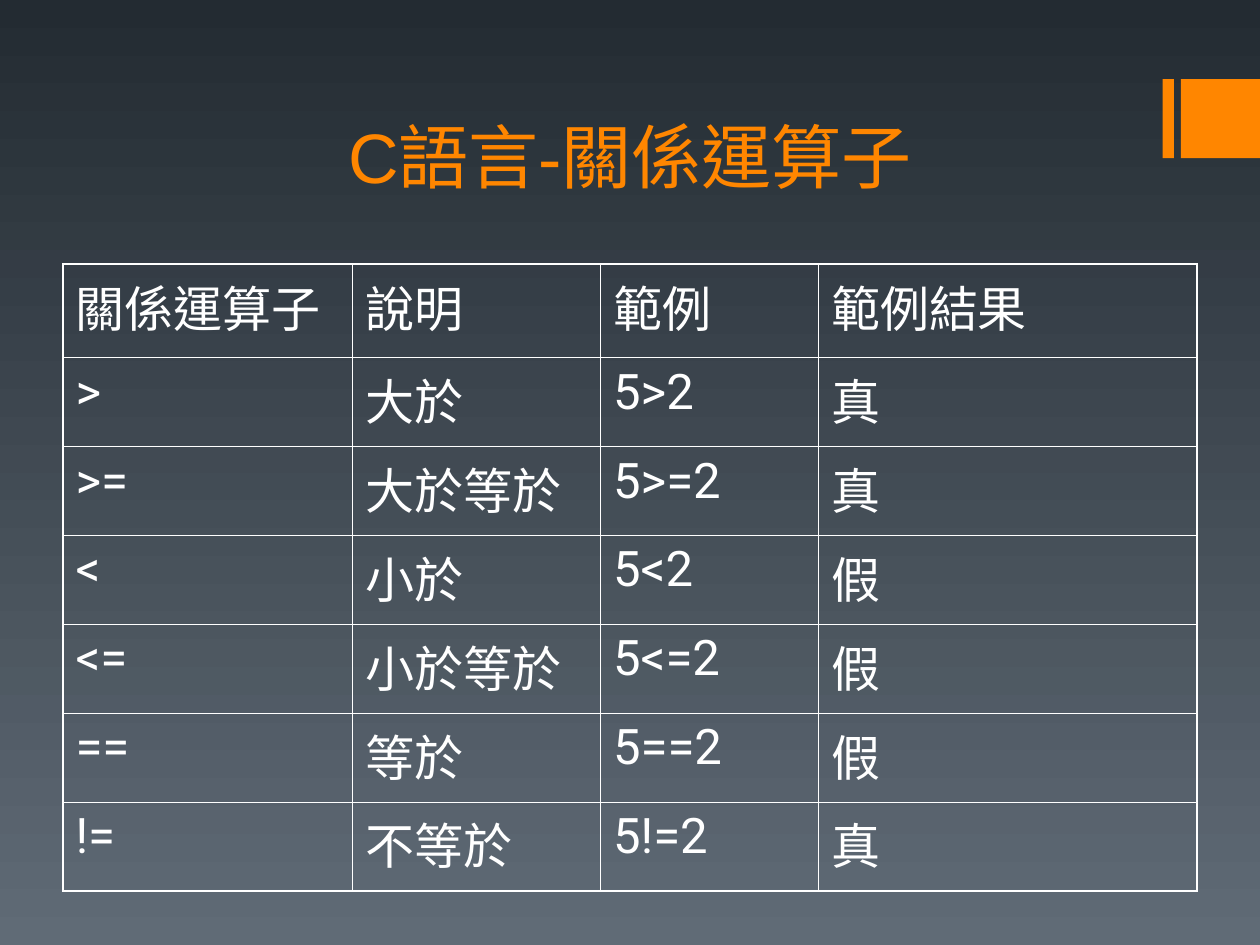
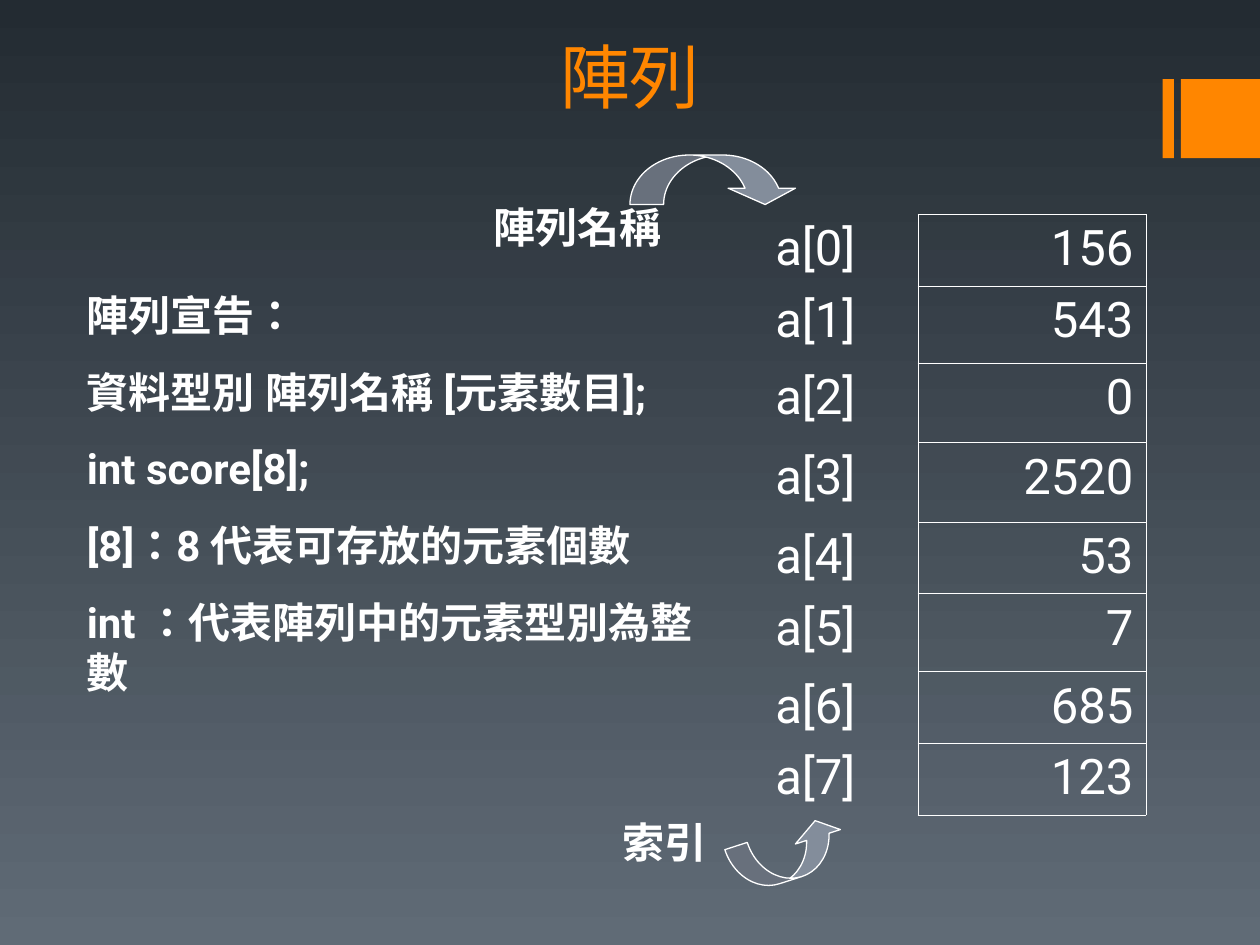
from dataclasses import dataclass
from typing import Any

from lxml import etree
from pptx import Presentation
from pptx import util as u
from pptx.dml import color
from pptx.enum import lang, shapes, text
from pptx.oxml import ns

Pt = u.Pt
HEX = {
    "top": "232B32",
    "base": "606B76",
    "accent": "FF8600",
    "ink": "FFFFFF",
    "arrow": "838D9B",
}
TITLE = {"size": Pt(40), "bold": False, "name": "Arial"}
CELL = {"size": Pt(28), "name": "Roboto"}
LABEL = {"size": Pt(24), "name": "Roboto", "bold": True}
THIN, THICK = 0.45, 1.08


@dataclass
class Box:
    left: float
    top: float
    width: float
    height: float

    def emu(self) -> list[int]:
        return [Pt(v) for v in (self.left, self.top, self.width, self.height)]


@dataclass
class Grid:
    left: float
    top: float
    cols: list[float]
    rows: list[float]
    cells: list[list[str]]
    align: Any
    inner: float = 0  # line widths, 0 for no line
    outer: float = 0


@dataclass
class Note:
    box: Box
    lines: list[str]


@dataclass
class Arrow:
    kind: Any
    box: Box
    adjust: list[float]
    turn: float = 0


# Shared helpers
def rgb(key: str) -> color.RGBColor:
    return color.RGBColor.from_string(HEX[key])


def style(para: Any, form: dict, hue: str, east: bool = True) -> None:
    for run in para.runs:
        for key, val in form.items():
            setattr(run.font, key, val)
        run.font.color.rgb = rgb(hue)
        run.font.language_id = lang.MSO_LANGUAGE_ID.TRADITIONAL_CHINESE
        if east:
            face = etree.SubElement(run.font._element, ns.qn("a:ea"))
            face.set("typeface", form["name"])


def paint(slide: Any) -> None:
    """Draw the two accent bands at the right edge."""
    for left, width in ((664.3, 6.5), (674.8, 45.2)):
        band = slide.shapes.add_shape(
            shapes.MSO_SHAPE.RECTANGLE, *Box(left, 45.2, width, 45.2).emu())
        band.shadow.inherit = False
        band.fill.solid()
        band.fill.fore_color.rgb = rgb("accent")
        band.line.fill.background()


def start(deck: Any, name: str, height: float) -> Any:
    """Add a slide with its title and bands."""
    slide = deck.slides.add_slide(deck.slide_layouts[5])
    paint(slide)
    title = slide.shapes.title
    place = Box(36, 23, 648, height).emu()
    for key, val in zip(("left", "top", "width", "height"), place):
        setattr(title, key, val)
    frame = title.text_frame
    frame.text = name
    frame.auto_size = text.MSO_AUTO_SIZE.NONE
    frame.vertical_anchor = text.MSO_ANCHOR.BOTTOM
    frame.paragraphs[0].alignment = text.PP_ALIGN.CENTER
    style(frame.paragraphs[0], TITLE, "accent")
    return slide


def edge(cell: Any, side: str, width: float) -> None:
    line = etree.SubElement(cell._tc.get_or_add_tcPr(), ns.qn(f"a:ln{side}"))
    line.set("w", str(int(Pt(width))))
    if not width:
        etree.SubElement(line, ns.qn("a:noFill"))
        return
    fill = etree.SubElement(line, ns.qn("a:solidFill"))
    etree.SubElement(fill, ns.qn("a:srgbClr")).set("val", HEX["ink"])


def draw_grid(slide: Any, grid: Grid) -> None:
    high, wide = len(grid.rows), len(grid.cols)
    box = Box(grid.left, grid.top, sum(grid.cols), sum(grid.rows))
    table = slide.shapes.add_table(high, wide, *box.emu()).table
    table.first_row = table.horz_banding = False
    for col, width in zip(table.columns, grid.cols):
        col.width = Pt(width)
    for row, height in zip(table.rows, grid.rows):
        row.height = Pt(height)
    for r, words in enumerate(grid.cells):
        for c, word in enumerate(words):
            cell = table.cell(r, c)
            rims = {"L": c == 0, "R": c == wide - 1,
                    "T": r == 0, "B": r == high - 1}
            for side, rim in rims.items():
                edge(cell, side, grid.outer if rim else grid.inner)
            cell.fill.background()
            cell.text = word
            para = cell.text_frame.paragraphs[0]
            para.alignment = grid.align
            style(para, CELL, "ink", east=False)


def draw_note(slide: Any, note: Note) -> None:
    frame = slide.shapes.add_textbox(*note.box.emu()).text_frame
    frame.word_wrap = True
    frame.text = "\n".join(note.lines)
    for i, para in enumerate(frame.paragraphs):
        para.space_before = Pt(15 if i else 0)
        style(para, LABEL, "ink")


def draw_arrow(slide: Any, arrow: Arrow) -> None:
    shape = slide.shapes.add_shape(arrow.kind, *arrow.box.emu())
    shape.shadow.inherit = False
    shape.rotation = arrow.turn
    for i, val in enumerate(arrow.adjust):
        shape.adjustments[i] = val
    shape.fill.solid()
    shape.fill.fore_color.rgb = rgb("arrow")
    shape.line.color.rgb = rgb("ink")
    shape.line.width = Pt(0.75)


# Slide 1: relational operators
def add_signs(deck: Any) -> None:
    slide = start(deck, "C語言-關係運算子", 93.6)
    facts = [(">", "大於", "真"), (">=", "大於等於", "真"),
             ("<", "小於", "假"), ("<=", "小於等於", "假"),
             ("==", "等於", "假"), ("!=", "不等於", "真")]
    cells = [["關係運算子", "說明", "範例", "範例結果"]]
    cells += [[sign, name, f"5{sign}2", truth] for sign, name, truth in facts]
    draw_grid(slide, Grid(36, 151, [165.6, 141.6, 124.6, 216.2],
                          [53.3] + [50.8] * len(facts), cells,
                          text.PP_ALIGN.LEFT, THIN, THICK))


# Slide 2: arrays
def add_array(deck: Any) -> None:
    slide = start(deck, "陣列", 48)
    vals = [156, 543, 0, 2520, 53, 7, 685, 123]
    rows = [41.1, 44, 45.4, 45.4, 40.9, 44.6, 41, 41]
    right = text.PP_ALIGN.RIGHT
    draw_grid(slide, Grid(524.5, 122.4, [130.3], rows,
                          [[str(v)] for v in vals], right, THIN, THIN))
    draw_grid(slide, Grid(422.6, 122.4, [73.4], rows,
                          [[f"a[{i}]"] for i in range(len(vals))], right))

    notes = [
        Note(Box(275, 111.6, 124.6, 36), ["陣列名稱"]),
        Note(Box(348.5, 463, 79.2, 36), ["索引"]),
        Note(Box(42.5, 162, 368.6, 240.5), [
            "陣列宣告：",
            "資料型別 陣列名稱 [元素數目];",
            "int score[8];",
            "[8]：8 代表可存放的元素個數",
            "int ：代表陣列中的元素型別為整數",
        ]),
    ]
    for note in notes:
        draw_note(slide, note)

    kinds = shapes.MSO_SHAPE
    arrows = [
        Arrow(kinds.CURVED_UP_ARROW, Box(416.9, 474.5, 67.7, 28.1),
              [0.48, 0.96, 0.33], 342.2),
        Arrow(kinds.CURVED_DOWN_ARROW, Box(360, 88.6, 96.5, 28.3),
              [0.68, 1.36, 0.33]),
    ]
    for arrow in arrows:
        draw_arrow(slide, arrow)


def main() -> None:
    deck = Presentation()
    deck.slide_width, deck.slide_height = Pt(720), Pt(540)
    fill = deck.slide_master.background.fill
    fill.gradient()
    fill.gradient_angle = 270
    for stop, key in zip(fill.gradient_stops, ("top", "base")):
        stop.color.rgb = rgb(key)
    add_signs(deck)
    add_array(deck)
    deck.save("out.pptx")


if __name__ == "__main__":
    main()
